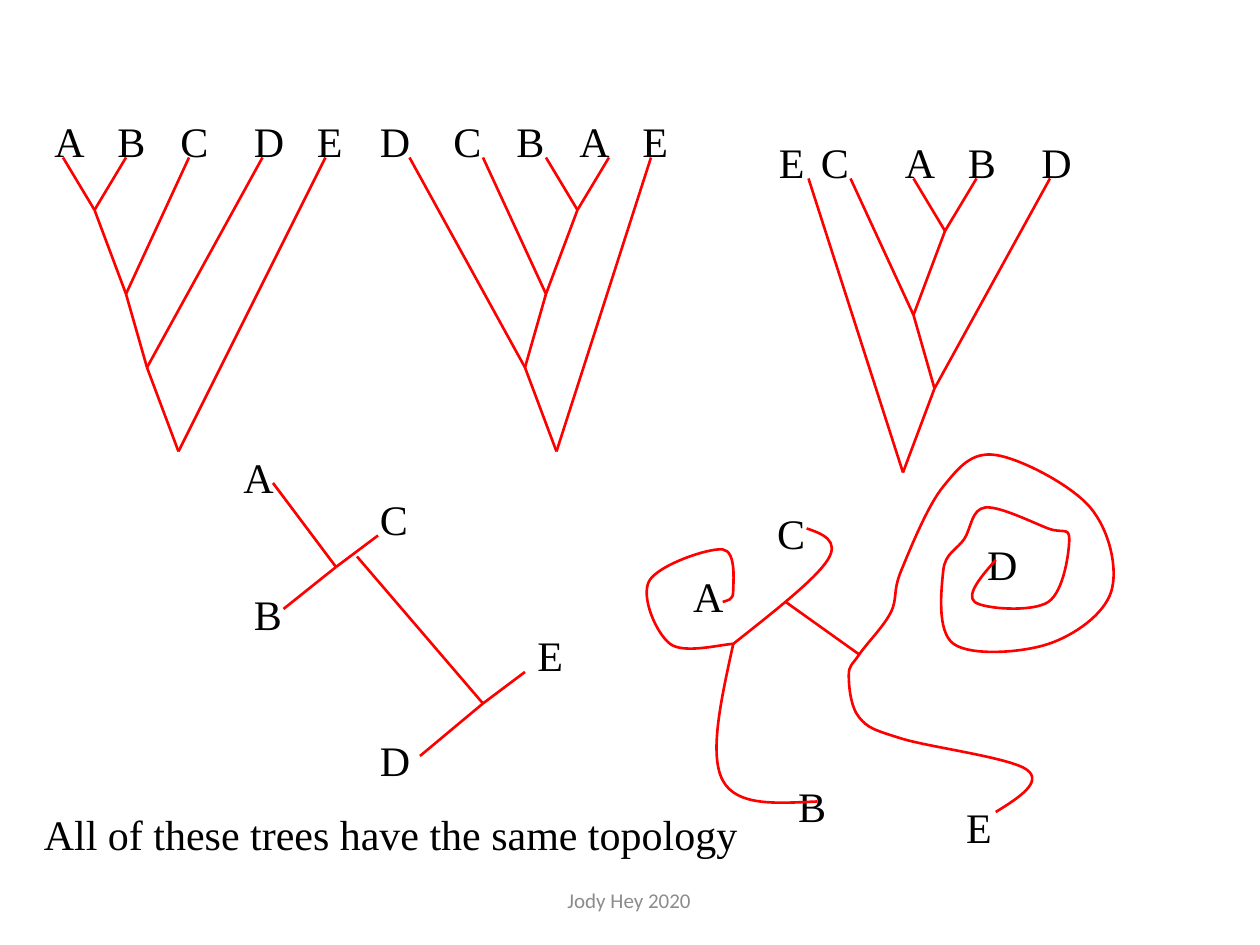
"""Draw five trees that share one topology."""
import itertools

import pptx
import pptx.dml.color
import pptx.enum.shapes
import pptx.enum.text
import pptx.oxml.ns
import pptx.oxml.xmlchemy
import pptx.util

Pt = pptx.util.Pt
RED = pptx.dml.color.RGBColor(0xFF, 0x00, 0x00)
BLACK = pptx.dml.color.RGBColor(0x00, 0x00, 0x00)
GRAY = pptx.dml.color.RGBColor(0x8C, 0x8C, 0x8C)
LEVELS = (0, 30, 78, 120, 168)

ROOTED = (
    (90, (36, 72, 108, 150, 186), (24, 60, 96, 138, 174), (54, 72, 84, 102)),
    (90, (348, 312, 276, 234, 372), (324, 288, 252, 210, 360), (330, 312, 300, 318)),
    (102, (522, 558, 486, 600, 462), (510, 546, 462, 588, 438), (540, 522, 534, 516)),
)
STRAIGHT = {"D": (210, 414), "E": (300, 354), "C": (210, 276), "B": (138, 330), "A": (132, 252)}
EDGES = (
    ((156, 276), (192, 324)),
    ((192, 324), (162, 348)),
    ((192, 324), (216, 306)),
    ((204, 318), (276, 402)),
    ((276, 402), (300, 384)),
    ((276, 402), (240, 432)),
)
CURLY = {"E": (545, 452), "C": (437, 284), "A": (389, 320), "B": (449, 440), "D": (557, 302)}
CURVES = (
    ((413, 344), (416, 343), (419, 343), (419, 338),
     (419, 333), (421, 315), (413, 314), (405, 313), (376, 323), (371, 332),
     (366, 341), (375, 362), (383, 368), (391, 374), (413, 368), (419, 368)),
    ((419, 368), (412, 400), (405, 431), (413, 446), (421, 461), (444, 459), (467, 458)),
    ((419, 368), (443, 349), (466, 331), (473, 320), (480, 309), (470, 305), (461, 302)),
    ((569, 320), (560, 330), (552, 340), (557, 344),
     (562, 348), (590, 350), (599, 344), (608, 338), (611, 315), (611, 308),
     (611, 301), (607, 305), (599, 302), (591, 299), (571, 289), (563, 290),
     (555, 291), (555, 302), (551, 308), (547, 314), (540, 316), (539, 326),
     (538, 336), (535, 361), (545, 368), (555, 375), (584, 373), (599, 368),
     (614, 363), (631, 351), (635, 338), (639, 325), (634, 303), (623, 290),
     (612, 277), (583, 262), (569, 260), (555, 258), (548, 267), (539, 278),
     (530, 289), (520, 314), (515, 326), (510, 338), (513, 342), (509, 350),
     (505, 358), (495, 368), (491, 374), (487, 380), (485, 380), (485, 386),
     (485, 392), (486, 404), (491, 410), (496, 416), (499, 417), (515, 422),
     (531, 427), (578, 433), (587, 440), (596, 447), (582, 456), (569, 464)),
)


class Board:
    def __init__(self, slide):
        self.slide = slide
        self.shapes = slide.shapes
        self.color = RED
        self.width = Pt(1.5)

    def group(self):
        self.shapes = self.slide.shapes.add_group_shape().shapes

    def stroke(self, shape):
        shape.line.color.rgb = self.color
        shape.line.width = self.width

    def text(self, words, left, top, width=36, height=36, size=24, font="Times New Roman",
             color=BLACK, align=pptx.enum.text.PP_ALIGN.LEFT,
             anchor=pptx.enum.text.MSO_ANCHOR.TOP, inset=(6, 0)):
        box = self.shapes.add_textbox(Pt(left), Pt(top), Pt(width), Pt(height))
        frame = box.text_frame
        frame.word_wrap = True
        frame.vertical_anchor = anchor
        frame.margin_top, frame.margin_bottom = map(Pt, inset)
        line = frame.paragraphs[0]
        line.alignment = align
        run = line.add_run()
        run.text = words
        run.font.name = font
        run.font.size = Pt(size)
        run.font.color.rgb = color

    def line(self, start, end):
        kind = pptx.enum.shapes.MSO_CONNECTOR.STRAIGHT
        edge = self.shapes.add_connector(kind, *map(Pt, start + end))
        self.stroke(edge)
        edge._element.spPr.append(pptx.oxml.xmlchemy.OxmlElement("a:effectLst"))

    def curve(self, points):
        spots = [(Pt(x), Pt(y)) for x, y in points]
        maker = self.shapes.build_freeform(*spots[0])
        maker.add_line_segments(spots[1:], close=False)
        shape = maker.convert_to_shape()
        shape.shadow.inherit = False
        shape.fill.background()
        self.stroke(shape)
        steps = list(shape._element.iter(pptx.oxml.ns.qn("a:lnTo")))
        for first in range(0, len(steps), 3):
            bend = pptx.oxml.xmlchemy.OxmlElement("a:cubicBezTo")
            steps[first].addprevious(bend)
            for step in steps[first:first + 3]:
                bend.append(step[0])
                step.getparent().remove(step)

    def labels(self, places):
        for name, (left, top) in places.items():
            self.text(name, left, top)

    def rooted(self, top, tips, lefts, spine):
        self.group()
        self.labels({name: (left, top - 30) for name, left in zip("ABCDE", lefts)})
        nodes = [(x, top + drop) for x, drop in zip((tips[0],) + spine, LEVELS)]
        for start, end in itertools.pairwise(nodes):
            self.line(start, end)
        for tip, node in zip(tips[1:], nodes[1:]):
            self.line((tip, top), node)


def main():
    deck = pptx.Presentation()
    deck.slide_width, deck.slide_height = Pt(720), Pt(540)
    board = Board(deck.slides.add_slide(deck.slide_layouts[6]))
    board.text("All of these trees have the same topology", 18, 456, width=690)
    for tree in ROOTED:
        board.rooted(*tree)
    board.group()
    board.labels(STRAIGHT)
    for start, end in EDGES:
        board.line(start, end)
    board.group()
    board.labels(CURLY)
    for points in CURVES:
        board.curve(points)
    board.line((449, 344), (491, 374))
    board.shapes = board.slide.shapes
    board.text("Jody Hey 2020", 238, 500, width=243, height=29, size=12, font="Calibri",
               color=GRAY, align=pptx.enum.text.PP_ALIGN.CENTER,
               anchor=pptx.enum.text.MSO_ANCHOR.MIDDLE, inset=(3.6, 3.6))
    deck.save("out.pptx")


if __name__ == "__main__":
    main()
